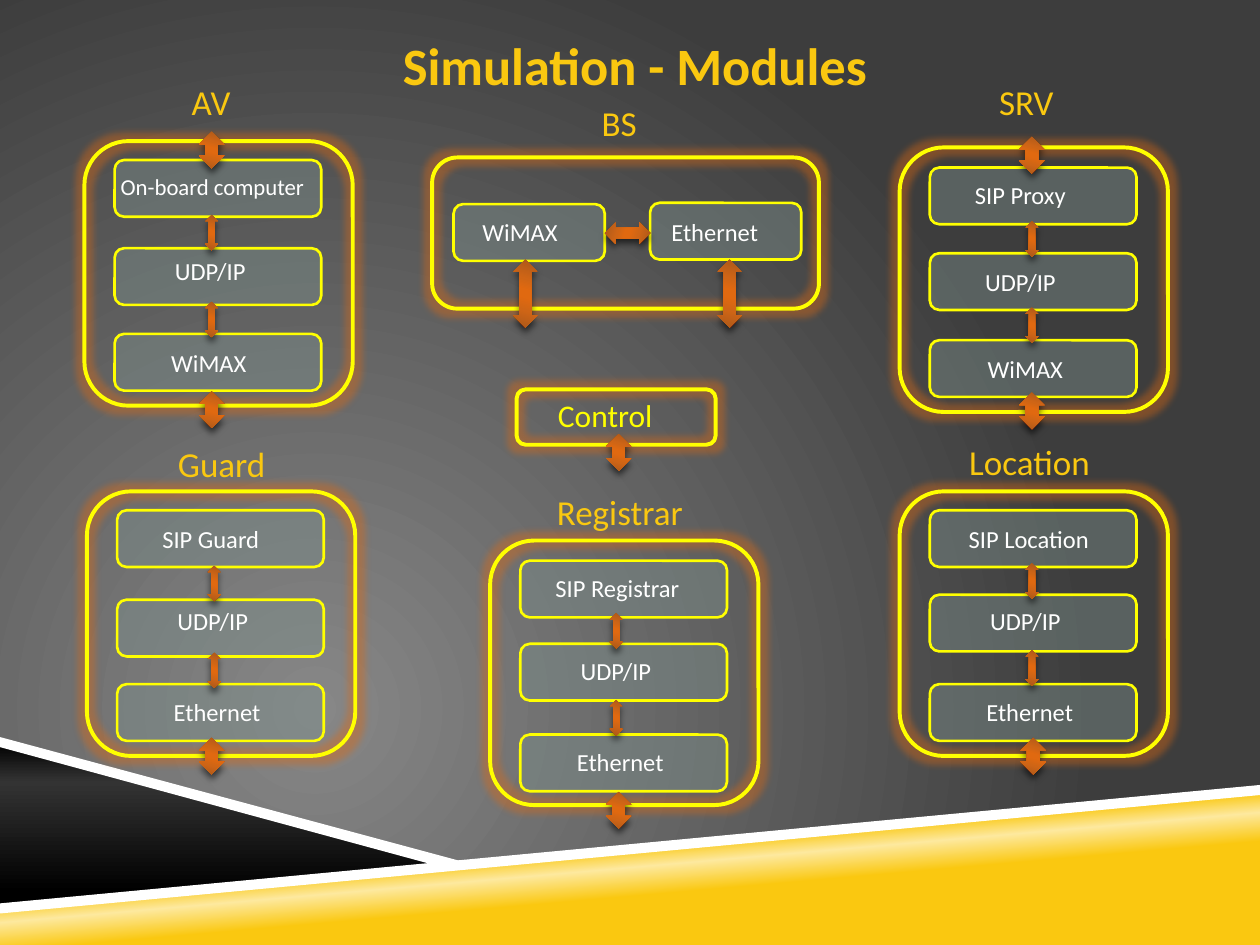
from dataclasses import dataclass

from pptx import Presentation
from pptx.dml.color import RGBColor
from pptx.enum.shapes import MSO_SHAPE
from pptx.enum.text import MSO_ANCHOR, MSO_AUTO_SIZE, PP_ALIGN
from pptx.oxml import parse_xml
from pptx.oxml.ns import nsdecls, qn
from pptx.util import Inches, Pt

COLORS = {
    "gold": "FAC810", "pale_gold": "FDE99F", "yellow": "FFFF00",
    "white": "FFFFFF", "black": "000000", "charcoal": "333333",
    "layer": "7D8F8C", "backdrop": "878787", "backdrop_edge": "3D3D3D",
    "rust": "AA581A", "burnt": "CF6516", "orange": "E06910",
}
FONT = "Calibri"
ARROW_STOPS = [(0, "rust"), (30, "burnt"), (45, "orange"),
               (55, "orange"), (73, "burnt"), (100, "rust")]
GOLD_STOPS = [(39, "gold"), (50, "pale_gold"), (58, "gold")]
BLACK_STOPS = [(0, "black"), (24, "charcoal"), (90, "black")]
BACKDROP_STOPS = [(0, "backdrop"), (100, "backdrop_edge")]
BACKDROP_CENTER = ('<a:path path="circle"><a:fillToRect l="50000" t="100000" '
                   'r="100000" b="50000"/></a:path>')
FRAME_WIDTH, FRAME_HEIGHT = 2.13, 2.1
LAYER_WIDTH, LAYER_HEIGHT, LAYER_INSET = 1.64, 0.45, 0.24
LABEL_WIDTH, LABEL_HEIGHT = 1.7, 0.34
PORT_SIZE, LINK_SIZE = (0.29, 0.2), (0.28, 0.1)


@dataclass
class Layer:
    text: str
    top: float
    label_left: float
    label_top: float
    indent: float = 0
    size: float = 14


@dataclass
class Module:
    heading: str
    heading_box: tuple[float, float, float]
    left: float
    top: float
    axis: float
    layers: list[Layer]
    ports: list[tuple[float, float]]


MODULES = [
    Module("AV", (1.35, 0.59, 0.65), 0.67, 1.12, 1.68, [
        Layer("On-board computer", 1.27, 0.86, 1.32, size=13),
        Layer("UDP/IP", 1.97, 1.29, 1.98),
        Layer("WiMAX", 2.65, 1.26, 2.71),
    ], [(1.68, 1.19), (1.68, 3.25)]),
    Module("SRV", (7.82, 0.59, 0.65), 7.14, 1.17, 8.19, [
        Layer("SIP Proxy", 1.33, 7.33, 1.38, 0.31),
        Layer("UDP/IP", 2.01, 7.72, 2.07),
        Layer("WiMAX", 2.7, 7.74, 2.76),
    ], [(8.19, 1.23), (8.19, 3.26)]),
    Module("Guard", (1.24, 3.46, 1.04), 0.69, 3.9, 1.7, [
        Layer("SIP Guard", 4.05, 0.88, 4.11, 0.31),
        Layer("UDP/IP", 4.76, 1.31, 4.76),
        Layer("Ethernet", 5.43, 1.28, 5.48),
    ], [(1.68, 6.0)]),
    Module("Registrar", (4.17, 3.84, 1.5), 3.89, 4.29, 4.89, [
        Layer("SIP Registrar", 4.45, 4.09, 4.5, 0.22),
        Layer("UDP/IP", 5.11, 4.51, 5.16),
        Layer("Ethernet", 5.83, 4.48, 5.88),
    ], [(4.91, 6.43)]),
    Module("Location", (7.42, 3.45, 1.5), 7.14, 3.9, 8.19, [
        Layer("SIP Location", 4.05, 7.33, 4.11, 0.26),
        Layer("UDP/IP", 4.72, 7.76, 4.76),
        Layer("Ethernet", 5.43, 7.73, 5.48),
    ], [(8.2, 6.0)]),
]


def rgb(name: str) -> RGBColor:
    return RGBColor.from_string(COLORS[name])


def set_gradient(parent, stops: list, direction: str) -> None:
    stop_xml = "".join(
        f'<a:gs pos="{position * 1000}"><a:srgbClr val="{COLORS[name]}"/></a:gs>'
        for position, name in stops)
    gradient = parse_xml(f'<a:gradFill {nsdecls("a")} rotWithShape="1">'
                         f'<a:gsLst>{stop_xml}</a:gsLst>{direction}</a:gradFill>')
    parent.replace(parent.find(qn("a:solidFill")), gradient)


def linear(angle: int) -> str:
    return f'<a:lin ang="{angle * 60000}" scaled="0"/>'


def add_effect(shape, tag: str, attributes: str, color: str, alpha: int) -> None:
    shape.element.spPr.find(qn("a:effectLst")).append(parse_xml(
        f'<a:{tag} {nsdecls("a")} {attributes}><a:srgbClr val="{COLORS[color]}">'
        f'<a:alpha val="{alpha * 1000}"/></a:srgbClr></a:{tag}>'))


def write_text(shape, text: str, *, size: float, color: str, bold: bool = False,
               align=PP_ALIGN.LEFT, indent: float = 0) -> None:
    frame = shape.text_frame
    frame.word_wrap = True
    frame.auto_size = MSO_AUTO_SIZE.SHAPE_TO_FIT_TEXT
    frame.vertical_anchor = MSO_ANCHOR.TOP
    paragraph = frame.paragraphs[0]
    paragraph.alignment = align
    if indent:
        paragraph._p.get_or_add_pPr().set("marL", str(Inches(indent)))
    run = paragraph.add_run()
    run.text = text
    run.font.name = FONT
    run.font.size = Pt(size)
    run.font.bold = bold
    run.font.color.rgb = rgb(color)


def add_label(slide, text: str, left: float, top: float, width: float,
              height: float, **text_format) -> None:
    box = slide.shapes.add_textbox(*map(Inches, (left, top, width, height)))
    write_text(box, text, **text_format)


def add_heading(slide, text: str, left: float, top: float, width: float) -> None:
    add_label(slide, text, left, top, width, 0.44, size=20, color="gold",
              align=PP_ALIGN.CENTER)


def add_rounded(slide, left: float, top: float, width: float, height: float,
                line_width: float):
    shape = slide.shapes.add_shape(MSO_SHAPE.ROUNDED_RECTANGLE,
                                   *map(Inches, (left, top, width, height)))
    shape.shadow.inherit = False
    shape.line.color.rgb = rgb("yellow")
    shape.line.width = Pt(line_width)
    return shape


def add_frame(slide, left: float, top: float, width: float, height: float) -> None:
    shape = add_rounded(slide, left, top, width, height, 2.25)
    shape.fill.background()
    add_effect(shape, "glow", f'rad="{Pt(8)}"', "orange", 40)


def add_layer(slide, layer: Layer, left: float, width: float = LAYER_WIDTH) -> None:
    shape = add_rounded(slide, left, layer.top, width, LAYER_HEIGHT, 1.5)
    shape.fill.solid()
    shape.fill.fore_color.rgb = rgb("layer")
    fill_color = shape.element.spPr.find(qn("a:solidFill"))[0]
    fill_color.append(parse_xml(f'<a:alpha {nsdecls("a")} val="45000"/>'))
    add_label(slide, layer.text, layer.label_left, layer.label_top, LABEL_WIDTH,
              LABEL_HEIGHT, size=layer.size, color="white", indent=layer.indent)


def add_arrow(slide, center_x: float, center_y: float, length: float,
              thickness: float, rotation: int = 90) -> None:
    shape = slide.shapes.add_shape(
        MSO_SHAPE.LEFT_RIGHT_ARROW, Inches(center_x - length / 2),
        Inches(center_y - thickness / 2), Inches(length), Inches(thickness))
    shape.rotation = rotation
    shape.shadow.inherit = False
    shape.line.fill.background()
    shape.fill.solid()
    set_gradient(shape.element.spPr, ARROW_STOPS, linear(16))
    add_effect(shape, "outerShdw", f'blurRad="{Pt(4)}" dist="{Pt(3)}" '
               'dir="5400000" rotWithShape="0"', "black", 58)


def add_polygon(slide, points: list, color: str, stops=None, angle: int = 0) -> None:
    corners = [(Inches(x), Inches(y)) for x, y in points]
    builder = slide.shapes.build_freeform(*corners[0])
    builder.add_line_segments(corners[1:], close=True)
    shape = builder.convert_to_shape()
    shape.shadow.inherit = False
    shape.line.fill.background()
    shape.fill.solid()
    shape.fill.fore_color.rgb = rgb(color)
    if stops:
        set_gradient(shape.element.spPr, stops, linear(angle))


def add_module(slide, module: Module) -> None:
    add_frame(slide, module.left, module.top, FRAME_WIDTH, FRAME_HEIGHT)
    add_heading(slide, module.heading, *module.heading_box)
    for layer in module.layers:
        add_layer(slide, layer, module.left + LAYER_INSET)
    for upper, lower in zip(module.layers, module.layers[1:]):
        middle = (upper.top + LAYER_HEIGHT + lower.top) / 2
        add_arrow(slide, module.axis, middle, *LINK_SIZE)
    for port in module.ports:
        add_arrow(slide, *port, *PORT_SIZE)


def add_backdrop(slide) -> None:
    slide.background.fill.solid()
    set_gradient(next(slide.element.iter(qn("p:bgPr"))), BACKDROP_STOPS, BACKDROP_CENTER)
    add_polygon(slide, [(0, 7.21), (10, 6.27), (10, 7.5), (0, 7.5)], "gold", GOLD_STOPS, 265)
    add_polygon(slide, [(0, 5.89), (3.59, 6.85), (0, 7.21)], "black", BLACK_STOPS, 90)
    add_polygon(slide, [(10, 6.23), (0, 7.17), (0, 7.25), (10, 6.31)], "white")
    add_polygon(slide, [(0, 5.85), (0, 5.93), (3.5, 6.88), (3.75, 6.86)], "white")


def main() -> None:
    presentation = Presentation()
    presentation.slide_width, presentation.slide_height = Inches(10), Inches(7.5)
    slide = presentation.slides.add_slide(presentation.slide_layouts[5])
    add_backdrop(slide)
    title = slide.shapes.title
    title.left, title.top, title.width, title.height = map(Inches, (2.64, 0.21, 4.8, 0.61))
    write_text(title, "Simulation - Modules", size=30, color="gold", bold=True,
               align=PP_ALIGN.CENTER)
    for module in MODULES:
        add_module(slide, module)

    add_frame(slide, 3.43, 1.25, 3.07, 1.2)
    add_heading(slide, "BS", 4.59, 0.76, 0.65)
    add_layer(slide, Layer("WiMAX", 1.62, 3.55, 1.67, 0.18), 3.6, 1.2)
    add_layer(slide, Layer("Ethernet", 1.61, 4.83, 1.67, 0.4), 5.16, 1.2)
    add_arrow(slide, 4.98, 1.85, 0.36, 0.17, rotation=0)
    for center_x in (4.17, 5.79):
        add_arrow(slide, center_x, 2.33, 0.54, 0.19)

    add_frame(slide, 4.1, 3.09, 1.58, 0.44)
    add_label(slide, "Control", 4.16, 3.09, 1.52, 0.4, size=18, color="yellow", indent=0.17)
    add_arrow(slide, 4.91, 3.59, *PORT_SIZE)
    presentation.save("out.pptx")


if __name__ == "__main__":
    main()
